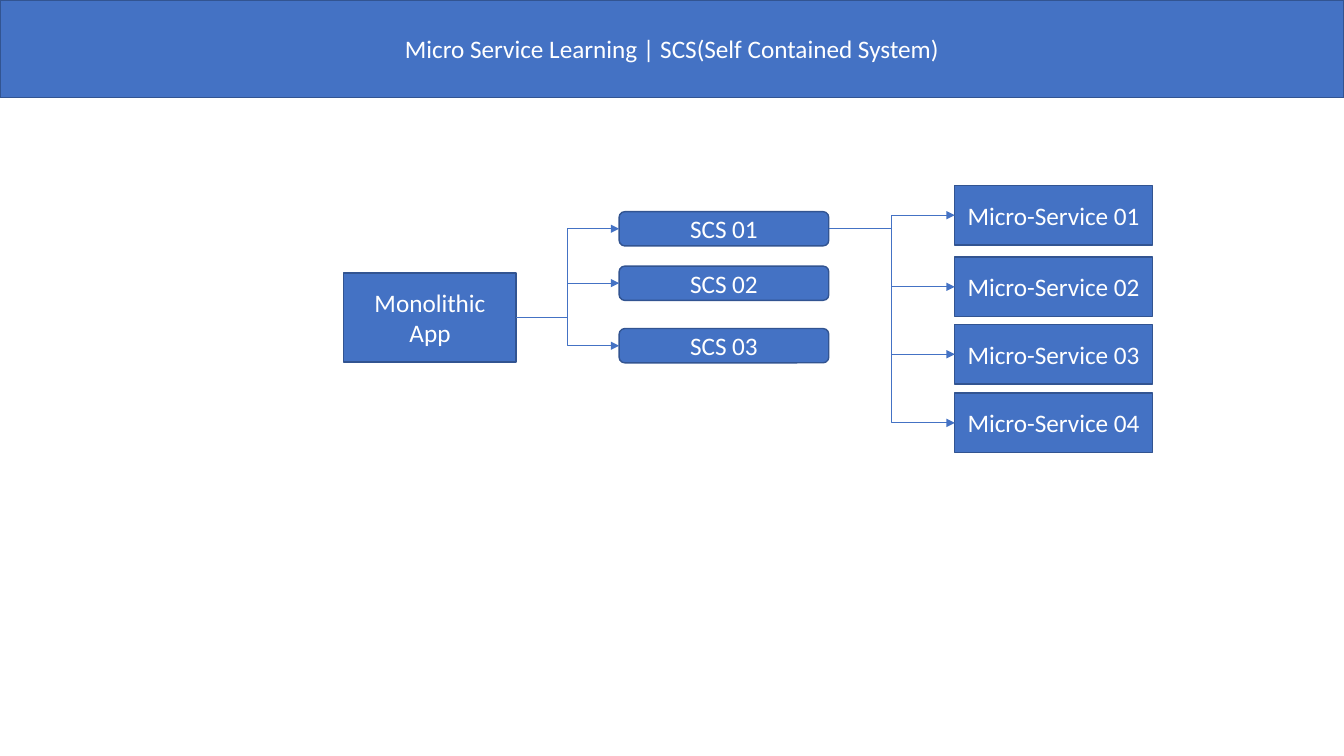
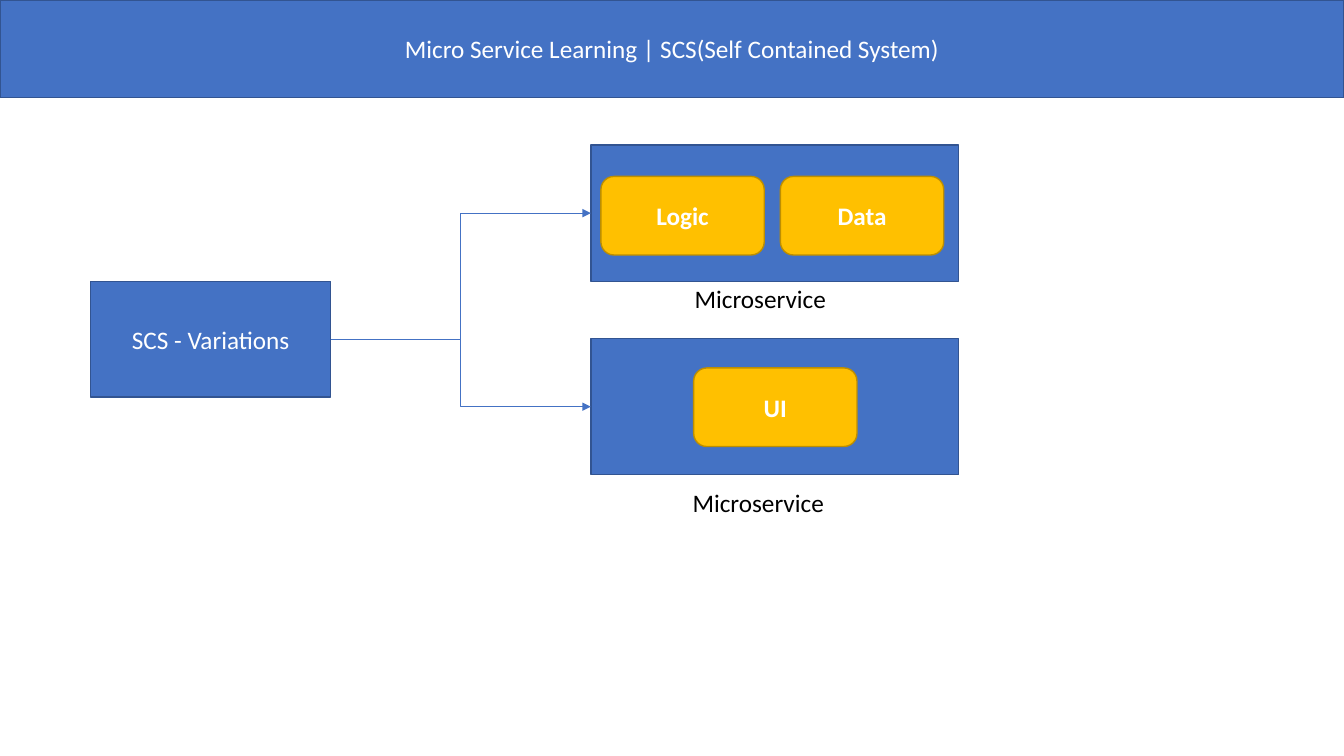
from dataclasses import dataclass

from lxml import etree
from pptx import Presentation
from pptx.dml.color import RGBColor
from pptx.enum.shapes import MSO_CONNECTOR, MSO_SHAPE
from pptx.enum.text import MSO_ANCHOR, MSO_AUTO_SIZE, PP_ALIGN
from pptx.oxml.ns import qn
from pptx.shapes.autoshape import Shape
from pptx.slide import Slide
from pptx.text.text import TextFrame
from pptx.util import Inches, Pt

RECT = MSO_SHAPE.RECTANGLE
ROUNDED = MSO_SHAPE.ROUNDED_RECTANGLE
ELBOW = MSO_CONNECTOR.ELBOW
MIDDLE = MSO_ANCHOR.MIDDLE
TOP = MSO_ANCHOR.TOP
CENTER = PP_ALIGN.CENTER
LEFT = PP_ALIGN.LEFT
NO_AUTOFIT = MSO_AUTO_SIZE.NONE
GROW = MSO_AUTO_SIZE.SHAPE_TO_FIT_TEXT

TITLE_ONLY = 5
LEFT_SITE, RIGHT_SITE = 1, 3
SLIDE_WIDTH, SLIDE_HEIGHT = 13.33, 7.5
BAND_HEIGHT = 0.97
HEADING = "Micro Service Learning | SCS(Self Contained System)"
FONT, FONT_SIZE = "Calibri", 18
WHITE, BLACK, BLUE = "FFFFFF", "000000", "4472C4"


@dataclass(frozen=True)
class Style:
    fill: str
    outline: str
    preset: MSO_SHAPE = RECT
    bold: bool = False


@dataclass(frozen=True)
class Box:
    left: float
    top: float
    width: float
    height: float
    lines: tuple[str, ...] = ()


BLOCK = Style(BLUE, "325491")
SYSTEM = Style(BLUE, "325491", ROUNDED)
PART = Style("FFC000", "BD8E00", ROUNDED, True)


def color(value: str) -> RGBColor:
    return RGBColor.from_string(value)


def write(frame: TextFrame, lines: tuple[str, ...], ink: str,
          bold: bool = False, align: PP_ALIGN = CENTER) -> None:
    frame.word_wrap = True
    for index, line in enumerate(lines):
        paragraph = frame.add_paragraph() if index else frame.paragraphs[0]
        paragraph.alignment = align
        run = paragraph.add_run()
        run.text = line
        run.font.name = FONT
        run.font.size = Pt(FONT_SIZE)
        run.font.bold = bold
        run.font.color.rgb = color(ink)


def paint(shape: Shape, style: Style, lines: tuple[str, ...]) -> None:
    shape.fill.solid()
    shape.fill.fore_color.rgb = color(style.fill)
    shape.line.color.rgb = color(style.outline)
    shape.line.width = Pt(1)
    shape.shadow.inherit = False
    shape.text_frame.vertical_anchor = MIDDLE
    write(shape.text_frame, lines, WHITE, style.bold)


def add_box(slide: Slide, box: Box, style: Style) -> Shape:
    shape = slide.shapes.add_shape(
        style.preset, Inches(box.left), Inches(box.top),
        Inches(box.width), Inches(box.height))
    paint(shape, style, box.lines)
    return shape


def add_caption(slide: Slide, box: Box) -> None:
    caption = slide.shapes.add_textbox(
        Inches(box.left), Inches(box.top), Inches(box.width), Inches(box.height))
    caption.text_frame.vertical_anchor = TOP
    caption.text_frame.auto_size = GROW
    write(caption.text_frame, box.lines, BLACK, align=LEFT)


def branch(slide: Slide, source: Shape, targets: list[Shape]) -> None:
    for target in targets:
        arrow = slide.shapes.add_connector(ELBOW, 0, 0, 0, 0)
        arrow.begin_connect(source, RIGHT_SITE)
        arrow.end_connect(target, LEFT_SITE)
        arrow.line.color.rgb = color(BLUE)
        arrow.line.width = Pt(0.5)
        properties = arrow._element.spPr
        outline = properties.find(qn("a:ln"))
        etree.SubElement(outline, qn("a:tailEnd"), type="triangle")
        etree.SubElement(properties, qn("a:effectLst"))


def add_titled_slide(deck: Presentation) -> Slide:
    slide = deck.slides.add_slide(deck.slide_layouts[TITLE_ONLY])
    band = slide.shapes.title
    band.left, band.top = Inches(0), Inches(0)
    band.width, band.height = Inches(SLIDE_WIDTH), Inches(BAND_HEIGHT)
    band.text_frame.auto_size = NO_AUTOFIT
    paint(band, BLOCK, (HEADING,))
    return slide


def build_decomposition(deck: Presentation) -> None:
    slide = add_titled_slide(deck)
    monolith = add_box(slide, Box(3.41, 2.71, 1.71, 0.88, ("Monolithic", "App")), BLOCK)
    systems = [
        add_box(slide, Box(6.14, top, 2.08, 0.34, (f"SCS {number:02}",)), SYSTEM)
        for number, top in enumerate((2.1, 2.64, 3.26), 1)
    ]
    services = [
        add_box(slide, Box(9.47, top, 1.96, 0.59, (f"Micro-Service {number:02}",)), BLOCK)
        for number, top in enumerate((1.84, 2.55, 3.22, 3.9), 1)
    ]
    branch(slide, systems[0], services)
    branch(slide, monolith, systems)


def build_variations(deck: Presentation) -> None:
    slide = add_titled_slide(deck)
    variations = add_box(slide, Box(0.9, 2.79, 2.38, 1.15, ("SCS - Variations",)), BLOCK)
    microservices = [
        add_box(slide, Box(5.86, top, 3.65, 1.35), BLOCK) for top in (1.44, 3.36)
    ]
    for label, left, top in (("Logic", 5.96, 1.75), ("Data", 7.74, 1.75), ("UI", 6.88, 3.65)):
        add_box(slide, Box(left, top, 1.62, 0.78, (label,)), PART)
    for left, top in ((6.79, 2.76), (6.77, 4.79)):
        add_caption(slide, Box(left, top, 2.02, 0.4, ("Microservice",)))
    branch(slide, variations, microservices)


presentation = Presentation()
presentation.slide_width = Inches(SLIDE_WIDTH)
presentation.slide_height = Inches(SLIDE_HEIGHT)
build_decomposition(presentation)
build_variations(presentation)
presentation.save("out.pptx")
